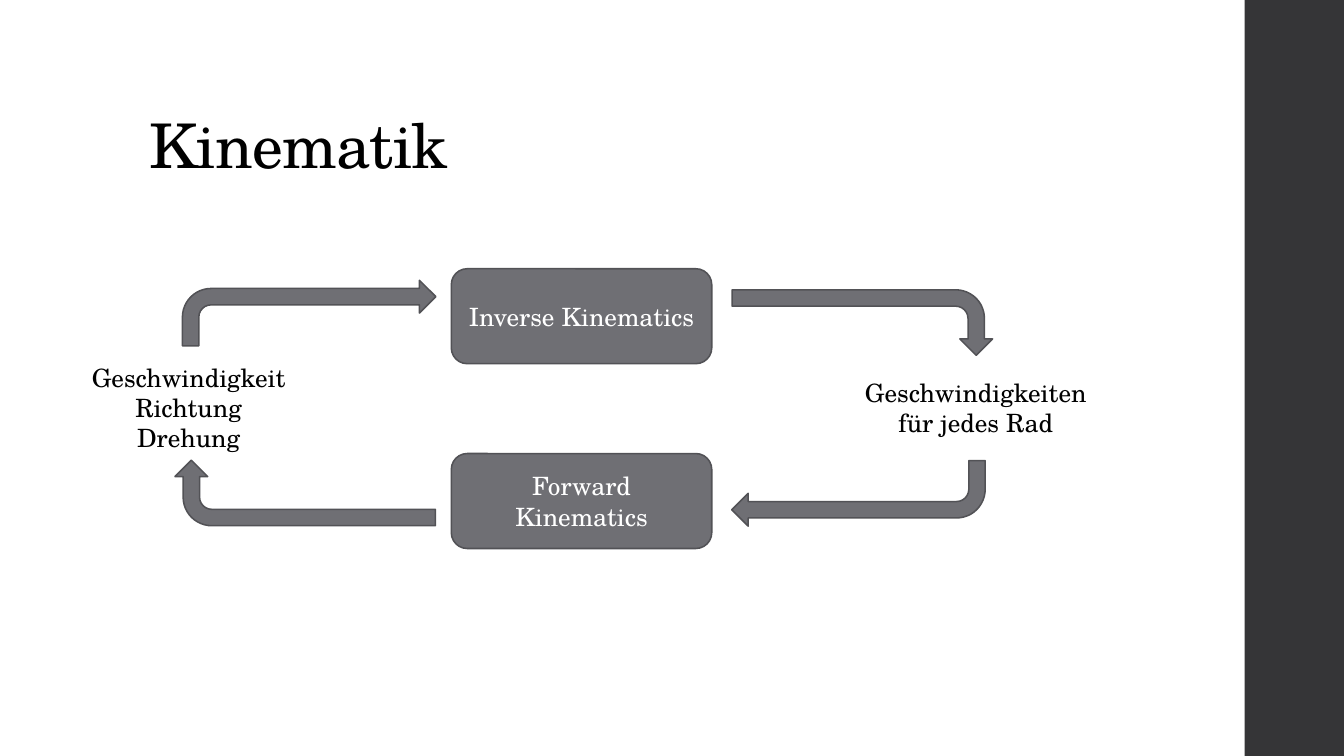
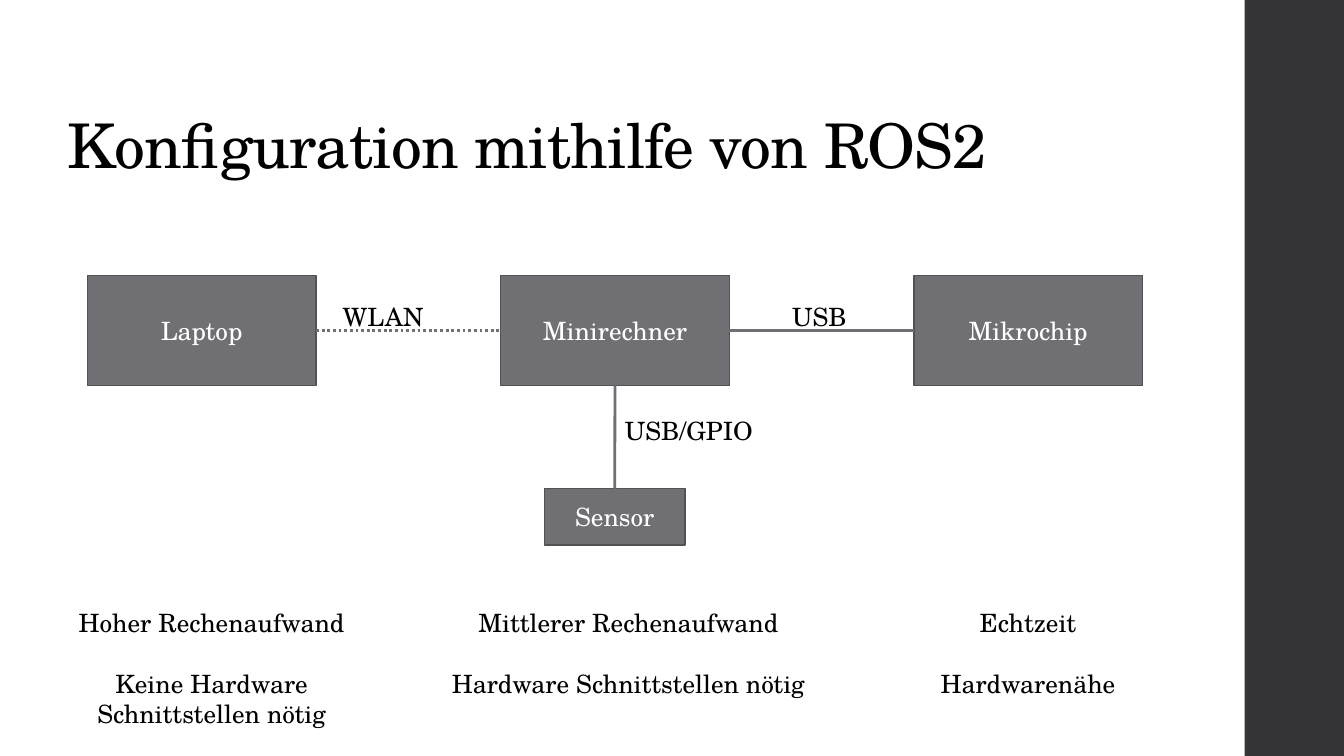
"""Build two slides on robot kinematics and the ROS2 configuration."""
from lxml.etree import SubElement
from pptx import Presentation
from pptx.dml.color import RGBColor
from pptx.enum.dml import MSO_LINE
from pptx.enum.shapes import MSO_CONNECTOR, MSO_SHAPE
from pptx.enum.text import MSO_ANCHOR, PP_ALIGN
from pptx.oxml.ns import qn
from pptx.util import Pt

FONT = "TeX Gyre Schola"
COLORS = {
    "band": "353537",
    "fill": "6F6F74",
    "outline": "525256",
    "ink": "000000",
    "paper": "FFFFFF",
}
TOP, LEFT, BOTTOM, RIGHT = range(4)


def color(name):
    return RGBColor.from_string(COLORS[name])


def write(frame, lines, ink="ink", size=18, align=PP_ALIGN.CENTER, gap=0):
    frame.word_wrap = True
    for index, line in enumerate(lines):
        paragraph = frame.paragraphs[0] if index == 0 else frame.add_paragraph()
        paragraph.alignment = align
        if index and gap:
            paragraph.space_before = Pt(gap)
        run = paragraph.add_run()
        run.text = line
        run.font.name = FONT
        run.font.size = Pt(size)
        run.font.color.rgb = color(ink)


def add_text(slide, lines, left, top, width, height, **style):
    box = slide.shapes.add_textbox(Pt(left), Pt(top), Pt(width), Pt(height))
    write(box.text_frame, lines, **style)
    return box.text_frame


def add_filled(slide, kind, left, top, width, height, fill="fill", outline="outline"):
    shape = slide.shapes.add_shape(kind, Pt(left), Pt(top), Pt(width), Pt(height))
    shape.shadow.inherit = False
    shape.fill.solid()
    shape.fill.fore_color.rgb = color(fill)
    if outline:
        shape.line.color.rgb = color(outline)
        shape.line.width = Pt(1.1)
    else:
        shape.line.fill.background()
    return shape


def add_node(slide, label, left, top, width, height, kind=MSO_SHAPE.RECTANGLE):
    node = add_filled(slide, kind, left, top, width, height)
    node.text_frame.vertical_anchor = MSO_ANCHOR.MIDDLE
    write(node.text_frame, [label], ink="paper")
    return node


def add_bent_arrow(slide, left, top, length, rotation):
    """Place a bent arrow by its visible left, top and length."""
    depth = 46.8
    width, height = (depth, length) if rotation % 180 else (length, depth)
    arrow = add_filled(slide, MSO_SHAPE.BENT_ARROW, left + (length - width) / 2,
                       top + (depth - height) / 2, width, height)
    arrow.rotation = rotation


def add_link(slide, start, start_side, end, end_side, dash=None):
    link = slide.shapes.add_connector(MSO_CONNECTOR.STRAIGHT, 0, 0, 0, 0)
    link.begin_connect(start, start_side)
    link.end_connect(end, end_side)
    link.line.color.rgb = color("fill")
    link.line.width = Pt(2)
    if dash:
        link.line.dash_style = dash
    SubElement(link._element.spPr, qn("a:effectLst"))


def add_slide(deck, title, title_left):
    slide = deck.slides.add_slide(deck.slide_layouts[6])
    slide.background.fill.solid()
    slide.background.fill.fore_color.rgb = color("paper")
    add_filled(slide, MSO_SHAPE.RECTANGLE, 889, 0, 71, 540, "band", None)
    frame = add_text(slide, [title], title_left, 29, 763, 104.4,
                     size=44, align=PP_ALIGN.LEFT)
    frame.vertical_anchor = MSO_ANCHOR.BOTTOM
    heading = frame.paragraphs[0]
    heading.line_spacing = 0.9
    heading.runs[0]._r.get_or_add_rPr().set("spc", "-50")
    return slide


def add_kinematics(deck):
    slide = add_slide(deck, "Kinematik", 99.4)
    for label, top in (("Forward Kinematics", 324), ("Inverse Kinematics", 192)):
        add_node(slide, label, 322.4, top, 186, 67.8, MSO_SHAPE.ROUNDED_RECTANGLE)
    add_text(slide, ["Geschwindigkeit Richtung", "Drehung"], 49, 255, 171.4, 72.7)
    add_text(slide, ["Geschwindigkeiten für jedes Rad"], 604, 266, 186, 50.9)
    for arrow in ((130.3, 200.2, 181, 0), (125, 328.7, 186, 270),
                  (522.7, 329, 181, 180), (523, 207, 186, 90)):
        add_bent_arrow(slide, *arrow)


def add_configuration(deck):
    slide = add_slide(deck, "Konfiguration mithilfe von ROS2", 41)
    laptop, computer, controller = (
        add_node(slide, label, 62.4 + 295.2 * column, 196.8, 163.4, 78.5)
        for column, label in enumerate(("Laptop", "Minirechner", "Mikrochip")))
    sensor = add_node(slide, "Sensor", 389, 349, 100.2, 40.4)
    add_link(slide, laptop, RIGHT, computer, LEFT, MSO_LINE.ROUND_DOT)
    add_link(slide, computer, RIGHT, controller, LEFT)
    add_link(slide, computer, BOTTOM, sensor, TOP)
    for label, left, top in (("USB", 558.7, 211.7), ("USB/GPIO", 439.2, 293),
                             ("WLAN", 237.6, 211.7)):
        add_text(slide, [label], left, top, 116.6, 29, align=PP_ALIGN.LEFT)
    for lines, left, width in (
            (("Hoher Rechenaufwand", "Keine Hardware Schnittstellen nötig"), 41, 220.3),
            (("Mittlerer Rechenaufwand", "Hardware Schnittstellen nötig"), 311, 275.8),
            (("Echtzeit", "Hardwarenähe"), 624.2, 220.3)):
        add_text(slide, lines, left, 430.6, width, 94, gap=21.7)


def main():
    deck = Presentation()
    deck.slide_width, deck.slide_height = Pt(960), Pt(540)
    add_kinematics(deck)
    add_configuration(deck)
    deck.save("out.pptx")


if __name__ == "__main__":
    main()
